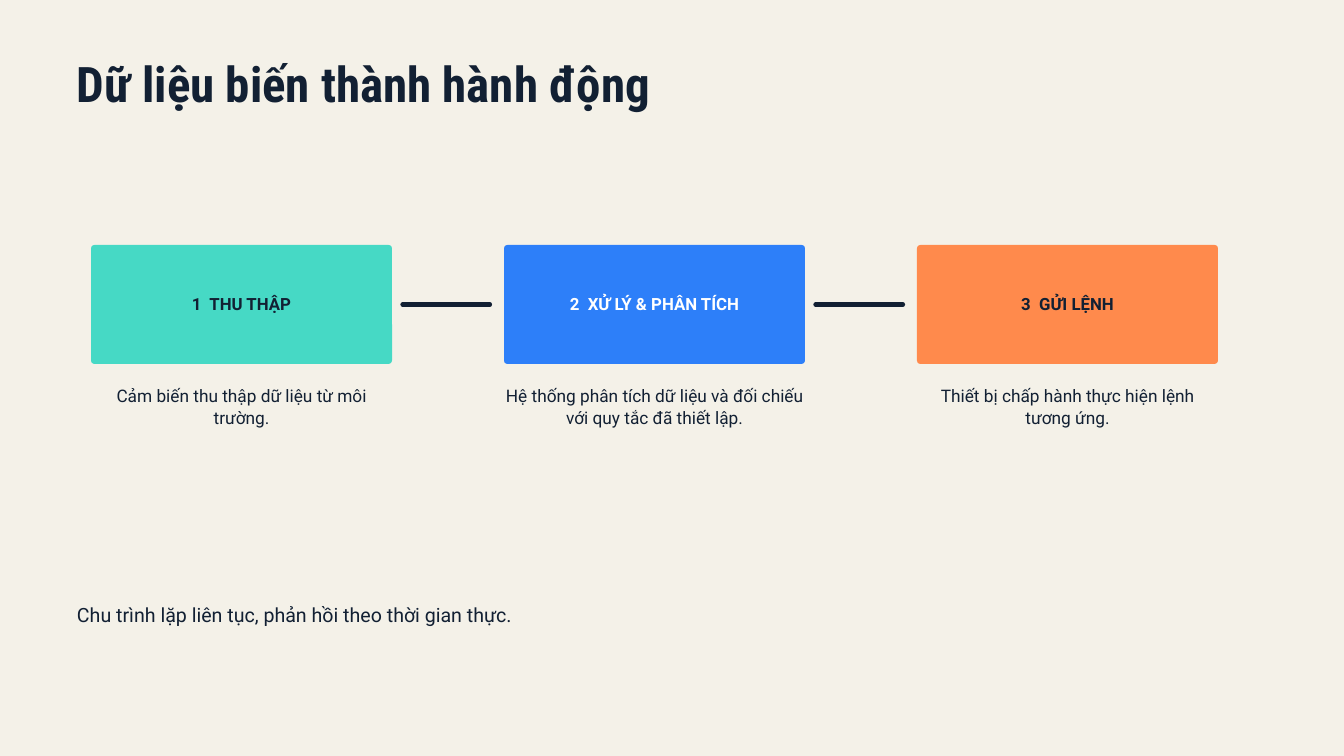
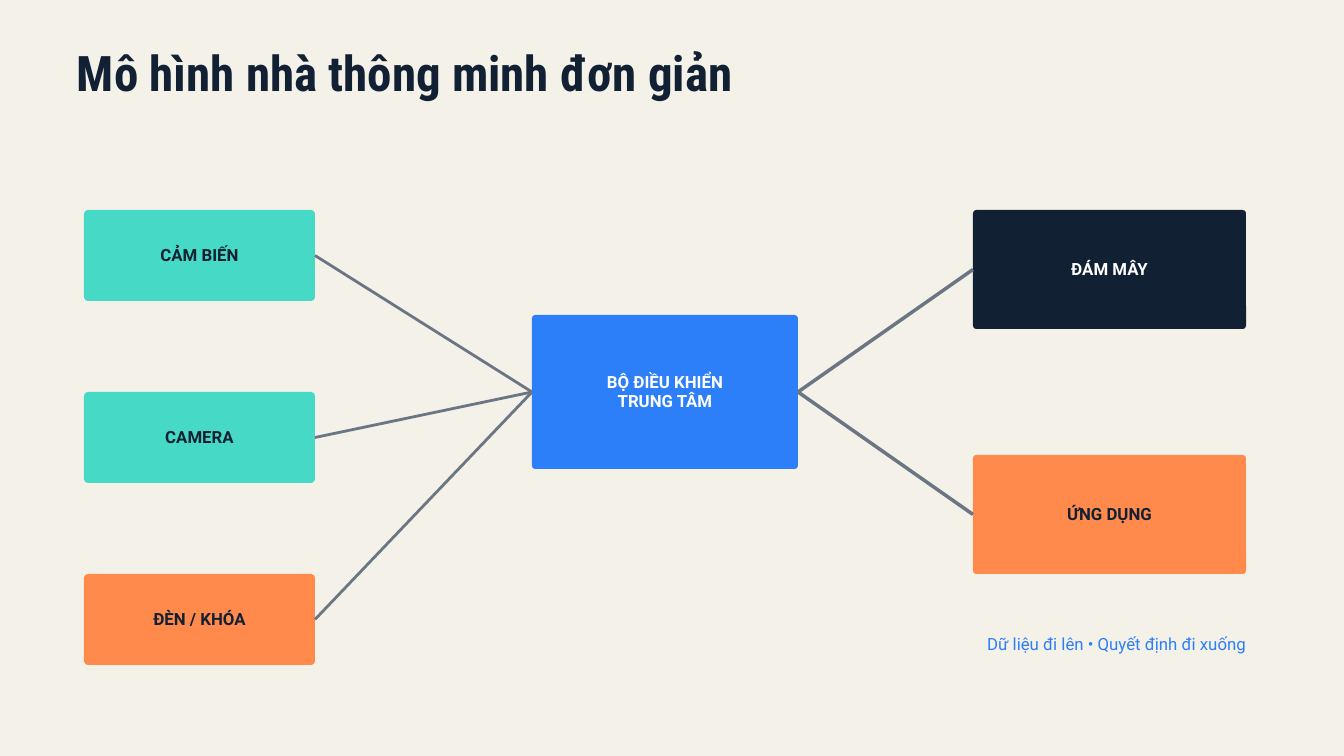
import pptx
import pptx.dml.color
import pptx.enum.shapes
import pptx.enum.text
import pptx.oxml.ns
import pptx.util
from lxml import etree

PX = 9525  # EMU per px, on a 1920 x 1080 page
COLOURS = {
    "paper": "F4F1E8", "navy": "122033", "teal": "46D9C5", "blue": "2D7FF9",
    "orange": "FF8A4C", "white": "FFFFFF", "grey": "6B7684",
}
RGB = {name: pptx.dml.color.RGBColor.from_string(code) for name, code in COLOURS.items()}
ALIGN = pptx.enum.text.PP_ALIGN
ANCHOR = pptx.enum.text.MSO_ANCHOR
STRAIGHT = pptx.enum.shapes.MSO_CONNECTOR.STRAIGHT
LEFT_SIDE, RIGHT_SIDE = 1, 3

# Text styles shared by both slides: font, size, line pitch, bold
STYLES = {
    "title": ("Roboto Condensed", 52.5, 53.5, True),
    "label": ("Roboto", 18, 20.7, True),
    "caption": ("Roboto", 18.5, 24, False),
    "summary": ("Roboto", 21, 28.4, False),
    "note": ("Roboto", 18, 25.2, False),
}


def write_text(page, text, style, area, colour="navy", align=ALIGN.LEFT, box=None):
    """Write into the given box, or into a new text box without margins."""
    inset = 6 if box else 0
    if box is None:
        box = page.shapes.add_textbox(*[n * PX for n in area])
        box.text_frame.auto_size = pptx.enum.text.MSO_AUTO_SIZE.SHAPE_TO_FIT_TEXT
    frame = box.text_frame
    for side in ("left", "top", "right", "bottom"):
        setattr(frame, f"margin_{side}", inset * PX)
    frame.word_wrap = True
    frame.vertical_anchor = ANCHOR.MIDDLE if inset else ANCHOR.TOP
    frame.text = text
    font, size, pitch, bold = STYLES[style]
    look = {"name": font, "size": pptx.util.Pt(size), "bold": bold}
    for para in frame.paragraphs:
        para.alignment = align
        para.line_spacing = pptx.util.Pt(pitch)
        for span in para.runs:
            for key, value in look.items():
                setattr(span.font, key, value)
            span.font.color.rgb = RGB[colour]


def add_card(page, text, area, fill, colour="navy", radius=5):
    """Draw a filled card with slightly rounded corners and a centred label."""
    card = page.shapes.add_shape(
        pptx.enum.shapes.MSO_SHAPE.ROUNDED_RECTANGLE, *[n * PX for n in area])
    card.adjustments[0] = radius / min(area[2:])
    card.shadow.inherit = False
    card.fill.solid()
    card.fill.fore_color.rgb = RGB[fill]
    card.line.fill.background()
    write_text(page, text, "label", area, colour, ALIGN.CENTER, card)
    return card


deck = pptx.Presentation()
deck.slide_width, deck.slide_height = 1920 * PX, 1080 * PX

# Pages with the shared background and title
pages = []
for title, top, width in (("Dữ liệu biến thành hành động", 89, 1400),
                          ("Mô hình nhà thông minh đơn giản", 74, 1500)):
    page = deck.slides.add_slide(deck.slide_layouts[6])
    page.background.fill.solid()
    page.background.fill.fore_color.rgb = RGB["paper"]
    write_text(page, title, "title", (110, top, width, 75))
    pages.append(page)
flow_page, home_page = pages
links = []  # connector, colour, width in points, line cap

# Slide 1: three steps with captions, and dashes in the gaps
steps = [
    ("1  THU THẬP", "teal", "navy", "Cảm biến thu thập dữ liệu từ môi trường."),
    ("2  XỬ LÝ & PHÂN TÍCH", "blue", "white",
     "Hệ thống phân tích dữ liệu và đối chiếu với quy tắc đã thiết lập."),
    ("3  GỬI LỆNH", "orange", "navy", "Thiết bị chấp hành thực hiện lệnh tương ứng."),
]
for index, (label, fill, colour, caption) in enumerate(steps):
    left = 130 + 590 * index
    add_card(flow_page, label, (left, 350, 430, 170), fill, colour)
    write_text(flow_page, caption, "caption", (left, 548, 430, 96), align=ALIGN.CENTER)
    if index < len(steps) - 1:
        dash = flow_page.shapes.add_connector(
            STRAIGHT, (left + 445) * PX, 435 * PX, (left + 570) * PX, 435 * PX)
        links.append((dash, "navy", 4.5, "rnd"))
write_text(flow_page, "Chu trình lặp liên tục, phản hồi theo thời gian thực.",
           "summary", (110, 857, 900, 36))

# Slide 2: devices on the left, hub in the middle, services on the right
hub = add_card(home_page, "BỘ ĐIỀU KHIỂN\nTRUNG TÂM", (760, 450, 380, 220), "blue", "white")
devices = [("CẢM BIẾN", "teal"), ("CAMERA", "teal"), ("ĐÈN / KHÓA", "orange")]
for index, (label, fill) in enumerate(devices):
    device = add_card(home_page, label, (120, 300 + 260 * index, 330, 130), fill, radius=6)
    link = home_page.shapes.add_connector(STRAIGHT, 0, 0, 0, 0)
    link.begin_connect(device, RIGHT_SIDE)
    link.end_connect(hub, LEFT_SIDE)
    links.append((link, "grey", 3, "flat"))

services = [("ĐÁM MÂY", "navy", "white"), ("ỨNG DỤNG", "orange", "navy")]
for index, (label, fill, colour) in enumerate(services):
    service = add_card(home_page, label, (1390, 300 + 350 * index, 390, 170), fill, colour)
    link = home_page.shapes.add_connector(STRAIGHT, 0, 0, 0, 0)
    link.begin_connect(hub, RIGHT_SIDE)
    link.end_connect(service, LEFT_SIDE)
    links.append((link, "grey", 3.75, "flat"))
write_text(home_page, "Dữ liệu đi lên • Quyết định đi xuống", "note",
           (1180, 901, 600, 32), "blue", ALIGN.RIGHT)

# Line style for every connector
for link, colour, width, cap in links:
    link.line.color.rgb = RGB[colour]
    link.line.width = pptx.util.Pt(width)
    properties = link._element.spPr
    properties.find(pptx.oxml.ns.qn("a:ln")).set("cap", cap)
    etree.SubElement(properties, pptx.oxml.ns.qn("a:effectLst"))

deck.save("out.pptx")
